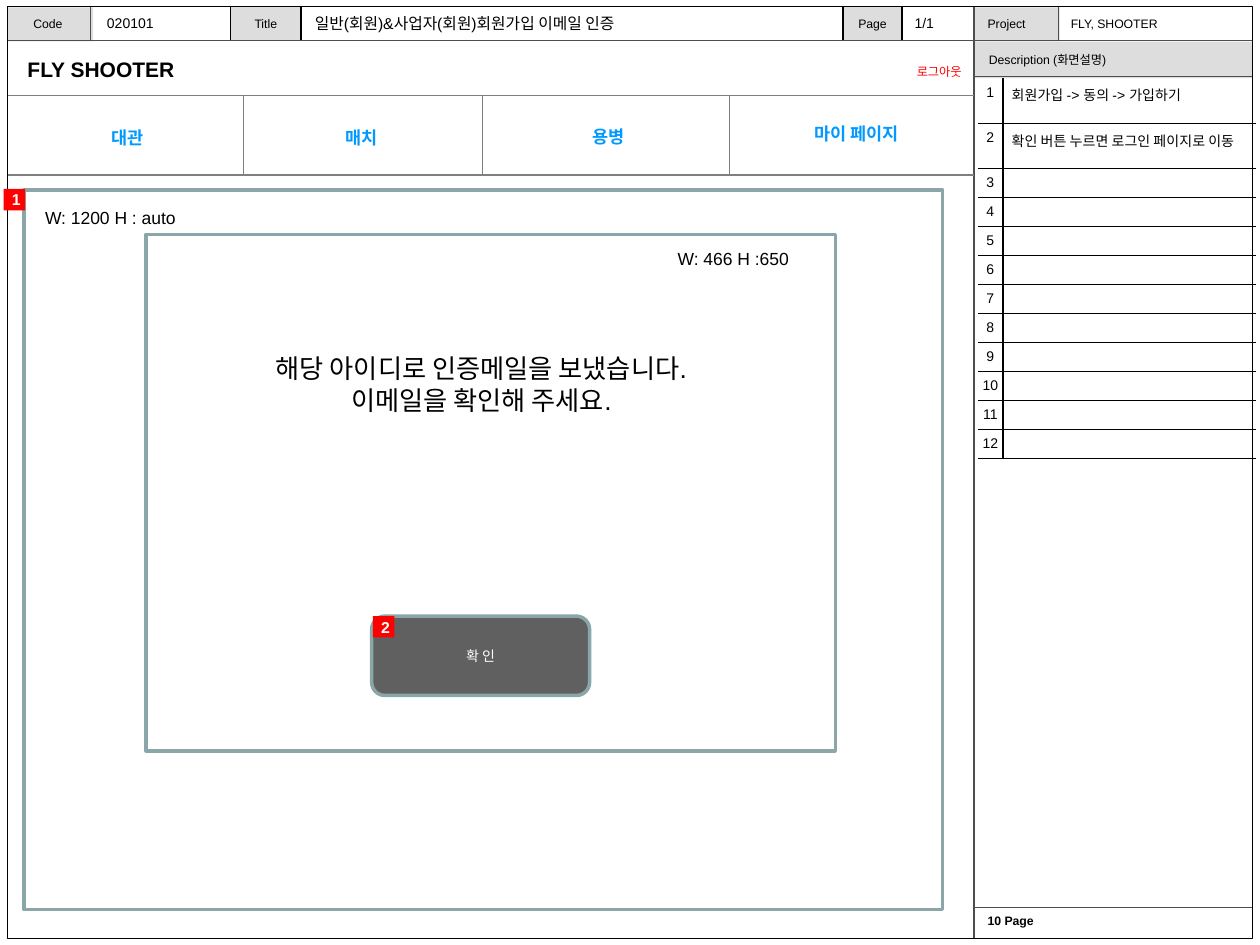
from lxml import etree
from pptx import Presentation
from pptx.dml.color import RGBColor
from pptx.enum.shapes import MSO_CONNECTOR, MSO_SHAPE
from pptx.enum.text import MSO_ANCHOR, PP_ALIGN
from pptx.oxml.ns import qn
from pptx.util import Inches, Pt

LEFT, CENTER, RIGHT = PP_ALIGN.LEFT, PP_ALIGN.CENTER, PP_ALIGN.RIGHT
TOP, MIDDLE = MSO_ANCHOR.TOP, MSO_ANCHOR.MIDDLE
RECT, ROUNDED = MSO_SHAPE.RECTANGLE, MSO_SHAPE.ROUNDED_RECTANGLE
STRAIGHT = MSO_CONNECTOR.STRAIGHT

THEME = {
    "font": "Arial", "ink": "000000", "white": "FFFFFF", "label": "DDDDDD",
    "rule": "4D4D4D", "menu_rule": "7F7F7F", "menu": "0099FF", "alert": "FF0000",
    "panel": "8AA6A8", "button": "606060",
    "tiny": 7, "small": 8, "badge": 9, "body": 10, "brand": 12, "message": 15,
    "hairline": 0.75, "outline": 2,
}

# Grid lines of the page, in inches
PAGE_LEFT, PAGE_RIGHT, PAGE_TOP, PAGE_BOTTOM = 0.06, 9.94, 0.05, 7.45
SIDEBAR, HEADER_BOTTOM, DESCRIPTION_BOTTOM, FOOTER_TOP = 7.73, 0.32, 0.61, 7.2
MENU_TOP, MENU_BOTTOM = 0.76, 1.39
MENU_DIVIDERS = (1.93, 3.83, 5.79)
MENU_WIDTH, BADGE = 1.86, 0.17

# Content: grey fields as (area, outlined)
LABEL_FIELDS = [
    ((SIDEBAR, 0.33, 2.21, 0.29), False),
    ((6.69, PAGE_TOP, 0.47, 0.27), True),
    ((1.83, PAGE_TOP, 0.56, 0.27), True),
    ((PAGE_LEFT, 0.06, 0.68, 0.27), False),
    ((SIDEBAR, 0.06, 0.68, 0.27), False),
]
# Text, area, size, then any alignment, anchor, colour and weight
HEADER_TEXTS = [
    ("Description (화면설명)", (7.75, 0.33, 2.19, 0.29), "tiny", {}),
    ("Page", (6.69, 0.05, 0.47, 0.27), "tiny", {"align": CENTER}),
    ("Title", (1.83, 0.05, 0.56, 0.27), "tiny", {"align": CENTER}),
    ("Code", (0.06, 0.05, 0.64, 0.27), "tiny", {"align": CENTER}),
    ("Project", (7.74, 0.08, 0.66, 0.24), "tiny", {"anchor": TOP}),
    ("FLY, SHOOTER", (8.4, 0.08, 1.5, 0.24), "tiny", {"anchor": TOP}),
    ("020101", (0.75, 0.05, 1.02, 0.26), "small", {}),
    ("1/1", (7.16, 0.05, 0.52, 0.26), "small", {}),
    ("일반(회원)&사업자(회원)회원가입 이메일 인증", (2.4, 0.06, 4.25, 0.25), "badge", {}),
    ("FLY SHOOTER", (0.12, 0.4, 6.23, 0.3), "brand", {"bold": True}),
    ("로그아웃", (6.65, 0.46, 1.08, 0.22), "tiny",
     {"align": RIGHT, "anchor": TOP, "color": "alert"}),
    ("10 Page", (7.74, 7.2, 2.14, 0.24), "tiny", {"anchor": TOP, "bold": True}),
]
MENU = [("대관", 0.08, 0.96), ("매치", 1.94, 0.96),
        ("용병", 3.9, 0.95), ("마이 페이지", 5.87, 0.93)]
PANELS = [(0.19, 1.51, 7.29, 5.71), (1.16, 1.86, 5.47, 4.1)]
PANEL_TEXTS = [
    ("W: 466 H :650", (5.28, 1.92, 1.18, 0.27), "body", {"anchor": TOP}),
    ("W: 1200 H : auto", (0.26, 1.59, 1.26, 0.27), "body", {"anchor": TOP}),
    ("해당 아이디로 인증메일을 보냈습니다.\n이메일을 확인해 주세요.",
     (1.81, 2.75, 4.02, 0.61), "message", {"align": CENTER, "anchor": TOP}),
]
CONFIRM = ("확 인", (2.95, 4.89, 1.73, 0.63))
BADGES = [("2", 2.96, 4.89), ("1", 0.03, 1.5)]
NOTES = ["회원가입 -> 동의 -> 가입하기", "확인 버튼 누르면 로그인 페이지로 이동"] + [""] * 10
NOTE_AREA, NOTE_COLUMNS = (7.76, 0.62, 2.21, 3.02), (0.2, 2.01)
NOTE_MARGINS = (0.01, 0.07)
FILLED_ROW, EMPTY_ROW = 0.36, 0.23

prs = Presentation()
prs.slide_width, prs.slide_height = Inches(10), Inches(7.5)
slide = prs.slides.add_slide(prs.slide_layouts[6])


def rgb(name):
    return RGBColor.from_string(THEME[name])


def inches(area):
    return [Inches(v) for v in area]


def write(frame, text, size, align=LEFT, anchor=MIDDLE, color="ink", bold=False):
    frame.text = text
    frame.word_wrap = True
    frame.vertical_anchor = anchor
    for paragraph in frame.paragraphs:
        paragraph.alignment = align
        for run in paragraph.runs:
            run.font.name, run.font.size = THEME["font"], Pt(THEME[size])
            run.font.bold, run.font.color.rgb = bold, rgb(color)


def add_text(text, area, size, **style):
    write(slide.shapes.add_textbox(*inches(area)).text_frame, text, size, **style)


def add_box(area, fill=None, line=None, width="hairline", kind=RECT):
    box = slide.shapes.add_shape(kind, *inches(area))
    box.shadow.inherit = False
    if fill:
        box.fill.solid()
        box.fill.fore_color.rgb = rgb(fill)
    else:
        box.fill.background()
    if line:
        box.line.color.rgb, box.line.width = rgb(line), Pt(THEME[width])
    else:
        box.line.fill.background()
    return box


def add_rule(x1, y1, x2, y2, color="rule"):
    rule = slide.shapes.add_connector(STRAIGHT, *inches((x1, y1, x2, y2)))
    rule.line.color.rgb, rule.line.width = rgb(color), Pt(THEME["hairline"])
    etree.SubElement(rule._element.spPr, qn("a:effectLst"))


def set_borders(cell, visible):
    properties = cell._tc.get_or_add_tcPr()
    for position, side in enumerate(("lnL", "lnR", "lnT", "lnB")):
        border = etree.Element(qn("a:" + side), w=str(Pt(THEME["hairline"])))
        if side in visible:
            fill = etree.SubElement(border, qn("a:solidFill"))
            etree.SubElement(fill, qn("a:srgbClr"), val=THEME["ink"])
        else:
            etree.SubElement(border, qn("a:noFill"))
        properties.insert(position, border)


# Header, sidebar and page frame
for area, outlined in LABEL_FIELDS:
    add_box(area, "label", "ink" if outlined else None)
add_rule(SIDEBAR, PAGE_TOP, SIDEBAR, PAGE_BOTTOM)
add_rule(PAGE_LEFT, HEADER_BOTTOM, PAGE_RIGHT, HEADER_BOTTOM)
for y in (DESCRIPTION_BOTTOM, FOOTER_TOP):
    add_rule(SIDEBAR, y, PAGE_RIGHT, y)
for x in (0.72, 8.4):
    add_rule(x, PAGE_TOP, x, HEADER_BOTTOM)
add_box((PAGE_LEFT, PAGE_TOP, PAGE_RIGHT - PAGE_LEFT, PAGE_BOTTOM - PAGE_TOP), line="ink")

# Menu
for y in (MENU_TOP, MENU_BOTTOM):
    add_rule(PAGE_LEFT, y, SIDEBAR, y, "menu_rule")
for x in MENU_DIVIDERS:
    add_rule(x, MENU_TOP, x, MENU_BOTTOM, "menu_rule")
for entry, left, top in MENU:
    add_text(entry, (left, top, MENU_WIDTH, 0.27), "body",
             align=CENTER, anchor=TOP, color="menu", bold=True)

# Panels and texts
for area in PANELS:
    add_box(area, "white", "panel", "outline")
for text, area, size, style in HEADER_TEXTS + PANEL_TEXTS:
    add_text(text, area, size, **style)

# Numbered notes, ruled between rows and columns
notes = slide.shapes.add_table(len(NOTES), 2, *inches(NOTE_AREA)).table
notes.first_row = notes.horz_banding = False
for column, width in zip(notes.columns, NOTE_COLUMNS):
    column.width = Inches(width)
for index, note in enumerate(NOTES):
    notes.rows[index].height = Inches(FILLED_ROW if note else EMPTY_ROW)
    row_sides = ("lnT", "lnB") if index else ("lnB",)
    cells = notes.cell(index, 0), notes.cell(index, 1)
    for cell, text, align, margin, inner_side in zip(
            cells, (str(index + 1), note), (CENTER, LEFT), NOTE_MARGINS, ("lnR", "lnL")):
        write(cell.text_frame, text, "small", align, TOP)
        cell.margin_left = cell.margin_right = Inches(margin)
        cell.margin_bottom = Inches(0.04)
        cell.fill.background()
        set_borders(cell, row_sides + (inner_side,))
        if not text:
            ending = cell.text_frame.paragraphs[0]._p.get_or_add_endParaRPr()
            ending.set("sz", str(THEME["small"] * 100))

# Confirm button and number badges
label, area = CONFIRM
button = add_box(area, "button", "panel", "outline", ROUNDED)
write(button.text_frame, label, "small", CENTER, color="white")
for number, left, top in BADGES:
    badge = add_box((left, top, BADGE, BADGE), "alert")
    frame = badge.text_frame
    write(frame, number, "badge", CENTER, color="white", bold=True)
    frame.margin_left = Inches(0.03)
    frame.margin_right = frame.margin_top = frame.margin_bottom = 0

prs.save("out.pptx")
